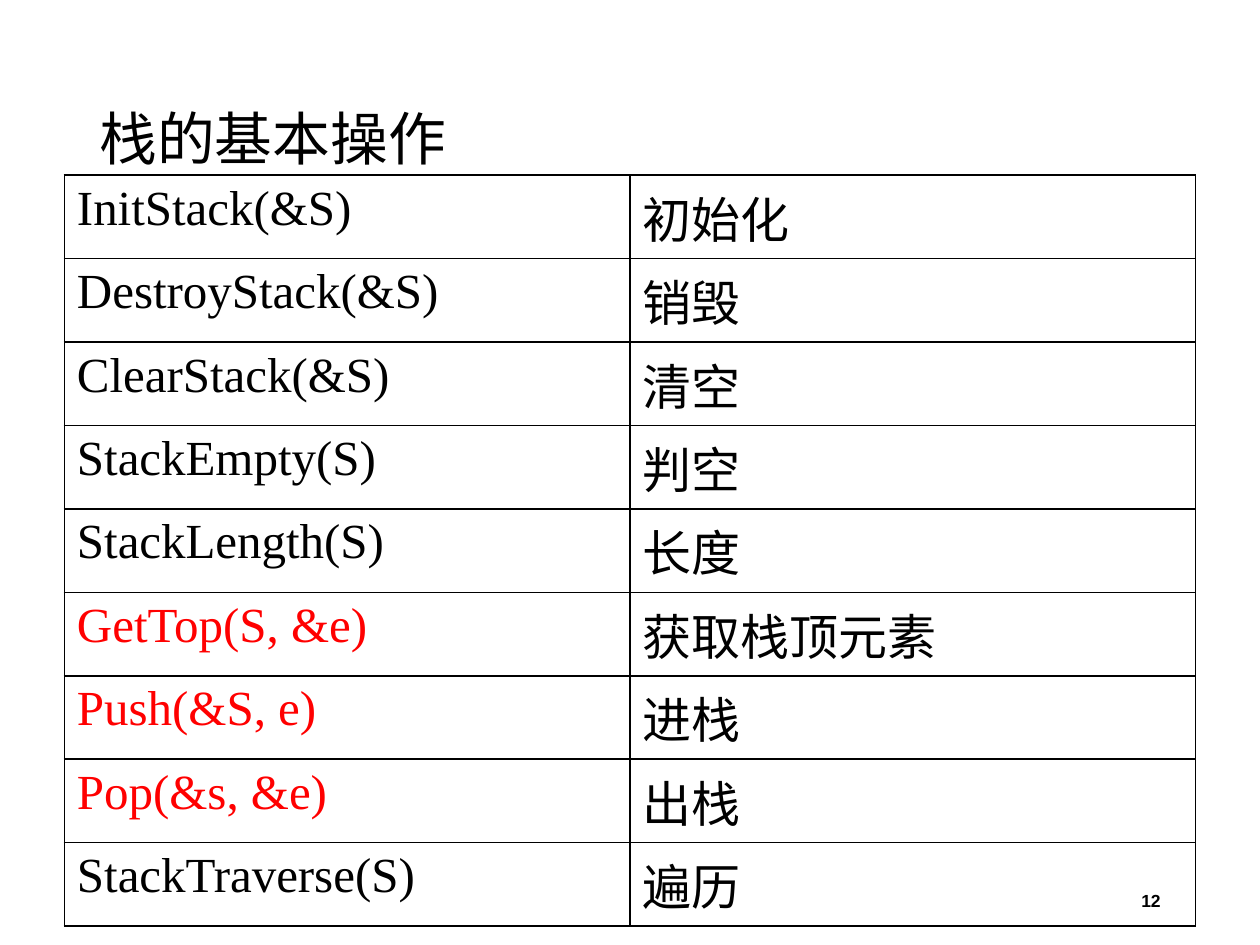
from typing import NamedTuple

from lxml.etree import SubElement
from pptx import Presentation
from pptx.dml.color import RGBColor
from pptx.enum.text import MSO_ANCHOR, PP_ALIGN
from pptx.oxml.ns import qn
from pptx.slide import Slide
from pptx.table import _Cell
from pptx.text.text import TextFrame
from pptx.util import Pt

COLORS = {"text": "000000", "highlight": "FF0000", "border": "000000"}
CHINESE_FONT = "Noto Sans CJK SC"
CODE_FONT = "Times New Roman"
COLUMN_WIDTH = 323.2
ROW_HEIGHT = 47.7


class Operation(NamedTuple):
    call: str
    meaning: str
    color: str = "text"


OPERATIONS = [
    Operation("InitStack(&S)", "初始化"),
    Operation("DestroyStack(&S)", "销毁"),
    Operation("ClearStack(&S)", "清空"),
    Operation("StackEmpty(S)", "判空"),
    Operation("StackLength(S)", "长度"),
    Operation("GetTop(S, &e)", "获取栈顶元素", "highlight"),
    Operation("Push(&S, e)", "进栈", "highlight"),
    Operation("Pop(&s, &e)", "出栈", "highlight"),
    Operation("StackTraverse(S)", "遍历"),
]


def write_text(frame: TextFrame, text: str, *, size: float, font: str,
               color: str = "text", bold: bool = False,
               align: PP_ALIGN = PP_ALIGN.LEFT, spacing: float = 1.0) -> None:
    paragraph = frame.paragraphs[0]
    paragraph.alignment = align
    paragraph.line_spacing = spacing
    run = paragraph.add_run()
    run.text = text
    run.font.size = Pt(size)
    run.font.bold = bold
    run.font.color.rgb = RGBColor.from_string(COLORS[color])
    run.font.name = font
    SubElement(run.font._element, qn("a:ea"), typeface=font)


def add_text_box(slide: Slide, left: float, top: float, width: float,
                 height: float) -> TextFrame:
    shape = slide.shapes.add_textbox(Pt(left), Pt(top), Pt(width), Pt(height))
    frame = shape.text_frame
    frame.word_wrap = True
    frame.vertical_anchor = MSO_ANCHOR.MIDDLE
    return frame


def draw_borders(cell: _Cell) -> None:
    properties = cell._tc.get_or_add_tcPr()
    for position, side in enumerate(("a:lnL", "a:lnR", "a:lnT", "a:lnB")):
        line = properties.makeelement(qn(side), {"w": str(Pt(1))})
        fill = SubElement(line, qn("a:solidFill"))
        SubElement(fill, qn("a:srgbClr"), val=COLORS["border"])
        properties.insert(position, line)


def add_operation_table(slide: Slide, operations: list[Operation], left: float,
                        top: float) -> None:
    shape = slide.shapes.add_table(
        len(operations), 2, Pt(left), Pt(top),
        Pt(2 * COLUMN_WIDTH), Pt(len(operations) * ROW_HEIGHT))
    table = shape.table
    table.first_row = False
    table.horz_banding = False
    for column in table.columns:
        column.width = Pt(COLUMN_WIDTH)
    for row, operation in zip(table.rows, operations):
        row.height = Pt(ROW_HEIGHT)
        call_cell, meaning_cell = row.cells
        write_text(call_cell.text_frame, operation.call, size=28,
                   font=CODE_FONT, color=operation.color)
        write_text(meaning_cell.text_frame, operation.meaning, size=28,
                   font=CHINESE_FONT)
        for cell in row.cells:
            cell.fill.background()
            draw_borders(cell)


def main() -> None:
    presentation = Presentation()
    presentation.slide_width = Pt(720)
    presentation.slide_height = Pt(540)
    slide = presentation.slides.add_slide(presentation.slide_layouts[6])

    title = add_text_box(slide, 49.7, 28.8, 620.6, 104.4)
    write_text(title, "栈的基本操作", size=33, font=CHINESE_FONT, spacing=0.9)
    add_operation_table(slide, OPERATIONS, 36.8, 100.1)
    page_number = add_text_box(slide, 508.3, 500.4, 162, 28.8)
    write_text(page_number, "12", size=10, font="Arial", bold=True,
               align=PP_ALIGN.RIGHT)

    presentation.save("out.pptx")


if __name__ == "__main__":
    main()
